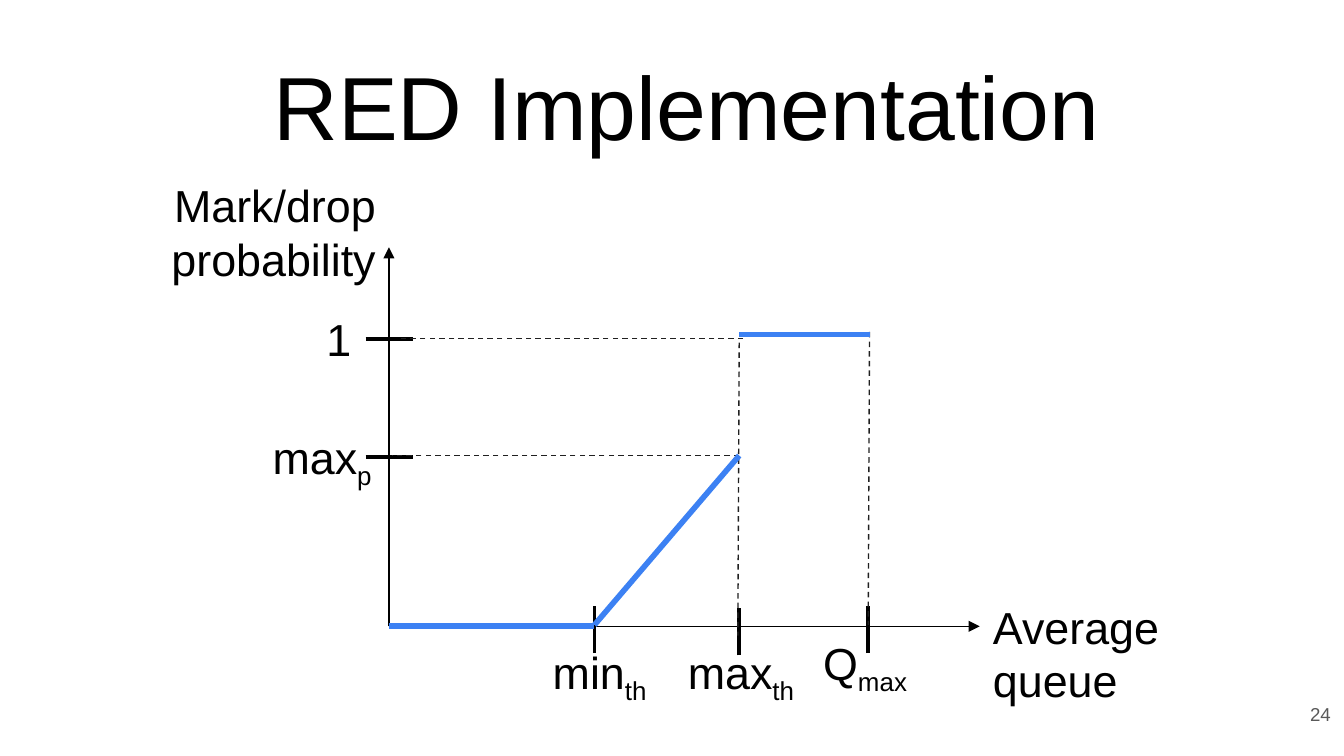
import pptx
import pptx.dml.color
import pptx.enum.dml
import pptx.enum.shapes
import pptx.enum.text
import pptx.oxml
import pptx.oxml.ns
import pptx.util

ALIGN = pptx.enum.text.PP_ALIGN
ANCHOR = pptx.enum.text.MSO_ANCHOR
FIT = pptx.enum.text.MSO_AUTO_SIZE
DASH = pptx.enum.dml.MSO_LINE.DASH
COLS, ROWS = 100, 56.25
BLACK, GREY, BLUE, DARK = "000000", "595959", "3C81F3", "202020"


def rgb(hex_string):
    return pptx.dml.color.RGBColor.from_string(hex_string)


def element(tag, **attrs):
    el = pptx.oxml.parse_xml(f"<a:{tag} {pptx.oxml.ns.nsdecls('a')}/>")
    for name, value in attrs.items():
        el.set(name, value)
    return el


def write(p, text, size=24, color=BLACK, font="Arial", sub=False):
    for i, line in enumerate(text.split("\n")):
        if i:
            p.add_line_break()
        r = p.add_run()
        r.text = line
        r.font.size = pptx.util.Pt(size)
        r.font.name = font
        r.font.color.rgb = rgb(color)
        if sub:
            r.font._element.set("baseline", "-25000")


class Deck:
    def __init__(self):
        self.prs = pptx.Presentation()
        self.prs.slide_width = pptx.util.Inches(10)
        self.prs.slide_height = self.prs.slide_width * 9 // 16
        self.s = self.prs.slides.add_slide(self.prs.slide_layouts[5])

    def x(self, cols):
        return round(self.prs.slide_width * cols / COLS)

    def y(self, rows):
        return round(self.prs.slide_height * rows / ROWS)

    def box(self, left, top, width, height):
        return self.x(left), self.y(top), self.x(width), self.y(height)

    def title(self, text, *box):
        sp = self.s.shapes.title
        sp.left, sp.top, sp.width, sp.height = self.box(*box)
        tf = sp.text_frame
        tf.margin_left = tf.margin_right = tf.margin_top = tf.margin_bottom = 0
        tf.vertical_anchor = ANCHOR.MIDDLE
        tf.auto_size = FIT.NONE
        tf.paragraphs[0].alignment = ALIGN.CENTER
        write(tf.paragraphs[0], text, size=48)

    def label(self, text, *box, sub=None, align=ALIGN.LEFT):
        tf = self.s.shapes.add_textbox(*self.box(*box)).text_frame
        tf.word_wrap = False
        tf.auto_size = FIT.SHAPE_TO_FIT_TEXT
        p = tf.paragraphs[0]
        p.alignment = align
        write(p, text)
        if sub:
            write(p, sub, sub=True)

    def page_number(self, text, *box):
        tf = self.s.shapes.add_textbox(*self.box(*box)).text_frame
        tf.word_wrap = True
        tf.margin_top = tf.margin_bottom = pptx.util.Inches(0.1)
        tf.vertical_anchor = ANCHOR.MIDDLE
        tf.paragraphs[0].alignment = ALIGN.RIGHT
        write(tf.paragraphs[0], text, size=10, color=GREY)

    def line(self, x1, y1, x2, y2, color=BLACK, width=0.75, dash=None, arrow=False):
        sp = self.s.shapes.add_connector(
            pptx.enum.shapes.MSO_CONNECTOR.STRAIGHT,
            self.x(x1), self.y(y1), self.x(x2), self.y(y2))
        sp.line.color.rgb = rgb(color)
        sp.line.width = pptx.util.Pt(width)
        if dash:
            sp.line.dash_style = dash
        if arrow:
            sp.line._get_or_add_ln().append(element("tailEnd", type="triangle"))
        sp._element.spPr.append(element("effectLst"))


def main():
    deck = Deck()
    left, base = 28.94, 46.6
    min_th, max_th, q_max = 44.23, 55, 64.6
    max_p, one = 33.9, 25.2

    deck.title("RED Implementation", 4.5, 4.65, 93.2, 6.3)
    deck.page_number("24", 94, 51, 6, 4.3)

    deck.line(left, base, left, 18.4, arrow=True)
    deck.line(left, base, 72.9, base, arrow=True)
    deck.label("Average\nqueue", 72.9, 44.1, 14.6, 9.1)
    deck.label("Mark/drop\nprobability", 11.24, 12.74, 17.7, 9.1, align=ALIGN.RIGHT)

    for text, sub, x, top, width, tick, tick_top in (
            ("Q", "max", 60.26, 46.8, 8.9, q_max, 45.1),
            ("max", "th", 50.2, 47.5, 10.3, max_th, 45.26),
            ("min", "th", 40.14, 47.5, 9.3, min_th, 45.1)):
        deck.label(text, x, top, width, 5, sub=sub)
        deck.line(tick, tick_top + 3.5, tick, tick_top, width=2)

    for text, sub, x, width, tick in (
            ("max", "p", 19.3, 9.6, 34), ("1", None, 23.3, 3.9, one)):
        deck.label(text, x, tick - 2.5, width, 5, sub=sub)
        deck.line(27.2, tick, 30.7, tick, width=2)

    for guide in ((q_max + 0.1, 24.7, q_max, 46.5),
                  (max_th, max_p, 29.2, max_p),
                  (max_th, 25.5, max_th - 0.1, 47.3),
                  (55.3, one, 29.6, one)):
        deck.line(*guide, color=DARK, dash=DASH)

    for segment in ((left, base, min_th, base),
                    (min_th, base - 0.1, max_th, max_p),
                    (max_th, 24.9, q_max + 0.1, 24.9)):
        deck.line(*segment, color=BLUE, width=3)

    deck.prs.save("out.pptx")


if __name__ == "__main__":
    main()
